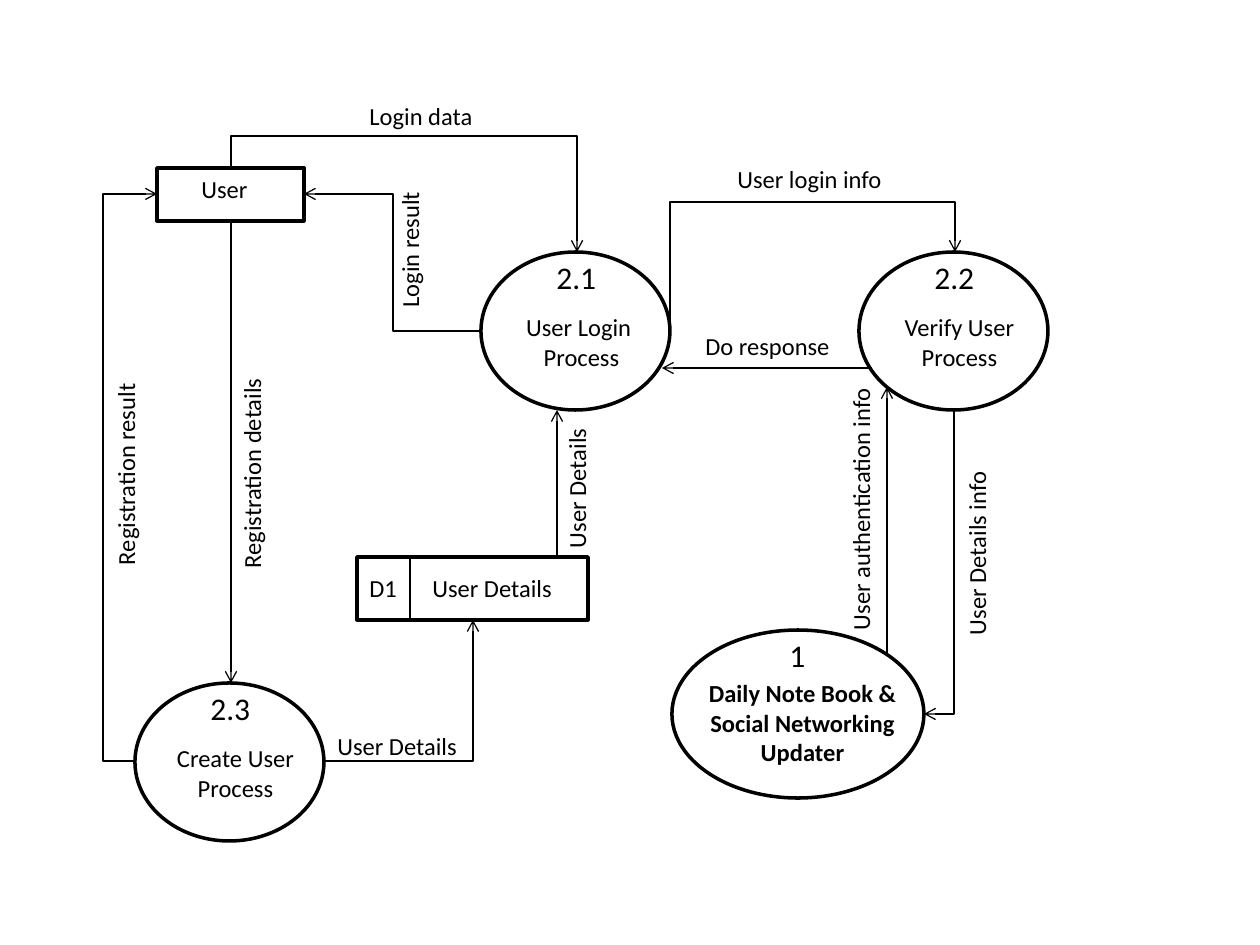
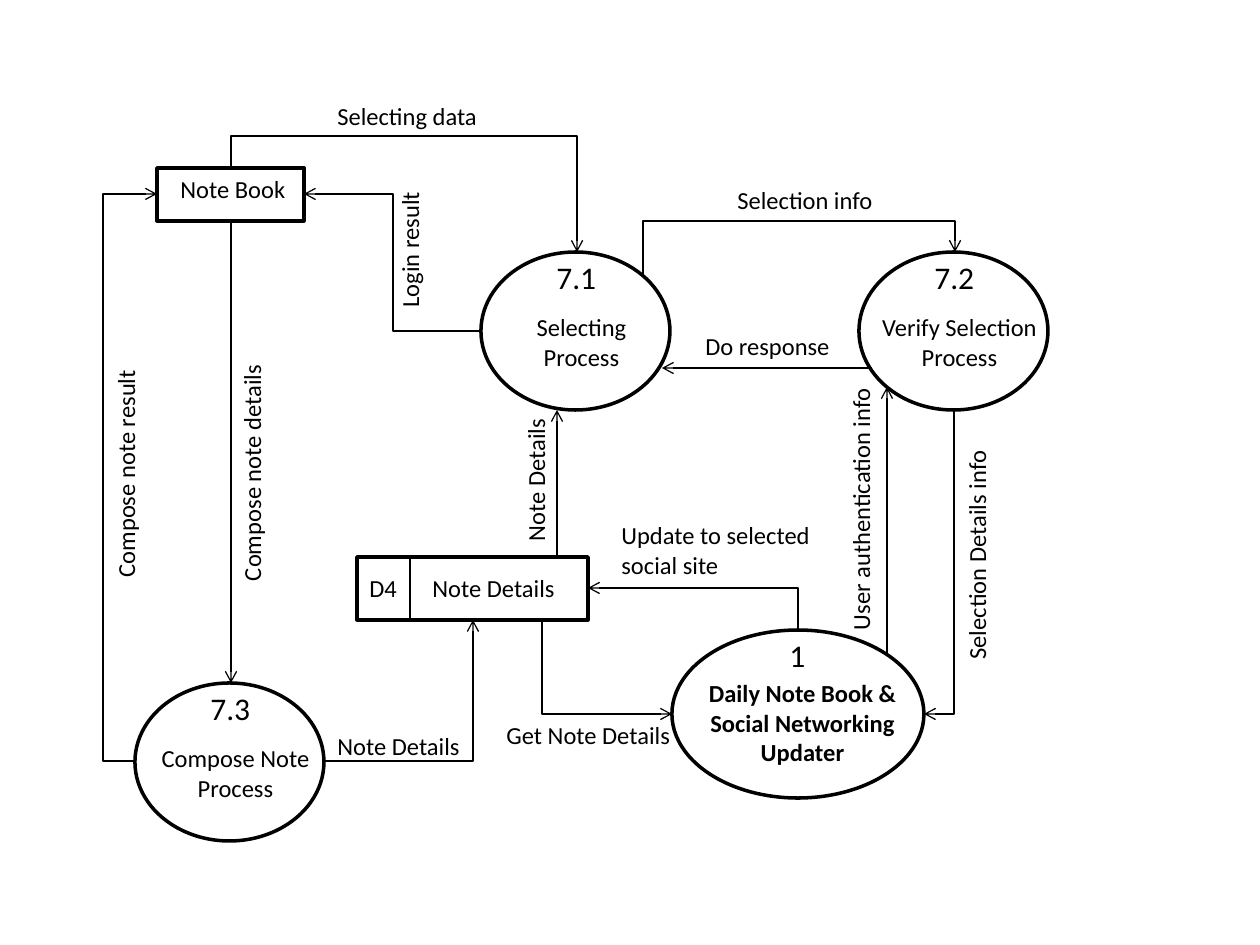
from lxml.etree import SubElement
from pptx import Presentation
from pptx.dml.color import RGBColor
from pptx.enum.shapes import MSO_CONNECTOR as Link, MSO_SHAPE as Preset
from pptx.enum.text import MSO_AUTO_SIZE as AutoSize, PP_ALIGN as Align
from pptx.oxml.ns import qn
from pptx.util import Emu, Pt

SCALE = 914400 // 126
INK = "000000"
FONT = "Calibri"
LINE_HEIGHT = 43
HUB = ["Daily Note Book & Social Networking Updater"]
PROCESS_PLACES = [(481, 252), (859, 252), (135, 683)]

SHARED_FLOWS = [
    [(231, 221), (231, 683)],
    [(135, 761), (103, 761), (103, 194), (157, 194)],
    [(324, 761), (473, 761), (473, 620)],
    [(231, 168), (231, 136), (577, 136), (577, 252)],
    [(481, 331), (393, 331), (393, 194), (304, 194)],
    [(954, 410), (954, 714), (924, 714)],
    [(887, 655), (887, 387)],
    [(557, 557), (557, 410)],
    [(872, 368), (662, 368)],
]
SHARED_LABELS = [(["Do response "], 693, 325, 158)]
SHARED_UPRIGHT_LABELS = [
    ("Login result", 410, 249, 142),
    ("User authentication info ", 861, 505, 275),
]

DIAGRAMS = [
    {
        "entity": ("User", 189, 72),
        "processes": [
            ("2.1", ["User Login ", "Process"]),
            ("2.2", ["Verify User", "Process"]),
            ("2.3", ["Create User", "Process"]),
        ],
        "store": ("D1", "User Details"),
        "flows": [[(670, 331), (670, 202), (955, 202), (955, 252)]],
        "labels": [
            (["User Details "], 325, 725, 151),
            (["Login data"], 357, 95, 130),
            (["User login info"], 725, 158, 171),
        ],
        "upright_labels": [
            ("User Details ", 577, 485, 151),
            ("Registration details ", 252, 469, 224),
            ("Registration result", 126, 473, 209),
            ("User Details info ", 977, 549, 197),
        ],
    },
    {
        "entity": ("Note Book", 168, 131),
        "processes": [
            ("7.1", ["Selecting", "Process"]),
            ("7.2", ["Verify Selection", "Process"]),
            ("7.3", ["Compose Note", "Process"]),
        ],
        "store": ("D4", "Note Details"),
        "flows": [
            [(643, 275), (643, 221), (955, 221), (955, 252)],
            [(542, 620), (542, 714), (672, 714)],
            [(798, 630), (798, 588), (588, 588)],
        ],
        "labels": [
            (["Note Details "], 325, 725, 155),
            (["Selecting data"], 325, 95, 166),
            (["Selection info"], 725, 179, 163),
            (["Get Note Details "], 494, 714, 197),
            (["Update to selected ", "social site"], 609, 514, 222),
        ],
        "upright_labels": [
            ("Note Details ", 536, 476, 155),
            ("Compose note details ", 252, 469, 249),
            ("Compose note result", 126, 473, 234),
            ("Selection Details info ", 977, 549, 246),
        ],
    },
]


def px(*lengths):
    return [Emu(round(length * SCALE)) for length in lengths]


def color(hex_text):
    return RGBColor.from_string(hex_text)


def set_line(line, points):
    line.color.rgb = color(INK)
    line.width = Pt(points)


def add_text(slide, lines, left, top, width, height=LINE_HEIGHT, size=14,
             bold=False, centred=False, rotation=0):
    box = slide.shapes.add_textbox(*px(left, top, width, height))
    box.rotation = rotation
    frame = box.text_frame
    frame.word_wrap = centred
    frame.auto_size = AutoSize.SHAPE_TO_FIT_TEXT
    for index, line in enumerate(lines):
        paragraph = frame.add_paragraph() if index else frame.paragraphs[0]
        paragraph.alignment = Align.CENTER if centred else Align.LEFT
        run = paragraph.add_run()
        run.text = line
        run.font.name = FONT
        run.font.size = Pt(size)
        run.font.bold = bold
        run.font.color.rgb = color(INK)


def add_outline(slide, preset, *place):
    outline = slide.shapes.add_shape(preset, *px(*place))
    outline.shadow.inherit = False
    outline.fill.background()
    set_line(outline.line, 2)


def add_link(slide, kind, *ends):
    link = slide.shapes.add_connector(kind, *px(*ends))
    set_line(link.line, 0.75)
    SubElement(link.element.spPr, qn("a:effectLst"))
    return link


def add_flow(slide, points):
    (x1, y1), (x2, y2) = points[0], points[-1]
    dx, dy = x2 - x1, y2 - y1
    if len(points) == 2:
        link = add_link(slide, Link.STRAIGHT, x1, y1, x2, y2)
    else:
        bend_x, bend_y = points[1]
        share = (bend_x - x1) / dx
        turn = 0
        if bend_x == x1:
            share = (bend_y - y1) / dy
            turn = -1 if dx * dy > 0 else 1
            mid_x, mid_y = (x1 + x2) / 2, (y1 + y2) / 2
            half_u, half_v = turn * dy / 2, -turn * dx / 2
            x1, y1, x2, y2 = mid_x - half_u, mid_y - half_v, mid_x + half_u, mid_y + half_v
        link = add_link(slide, Link.ELBOW, x1, y1, x2, y2)
        properties = link.element.spPr
        if turn:
            properties.find(qn("a:xfrm")).set("rot", str(turn % 4 * 5400000))
        geometry = properties.find(qn("a:prstGeom"))
        if len(points) == 3:
            geometry.set("prst", "bentConnector2")
        else:
            SubElement(geometry.find(qn("a:avLst")), qn("a:gd"),
                       name="adj1", fmla=f"val {round(share * 100000)}")
    SubElement(link.element.spPr.find(qn("a:ln")), qn("a:tailEnd"), type="arrow")


def add_process(slide, number, lines, left, top):
    add_outline(slide, Preset.OVAL, left, top, 189, 158)
    add_text(slide, lines, left - 9, top + 54, 219, 72, centred=True)
    add_text(slide, [number], left + 63, top, 66, 50, size=18)


def add_diagram(slide, diagram):
    add_outline(slide, Preset.OVAL, 672, 630, 252, 168)
    add_text(slide, HUB, 693, 672, 219, 102, bold=True, centred=True)
    add_text(slide, ["1"], 777, 630, 42, 50, size=18)

    entity, left, width = diagram["entity"]
    add_outline(slide, Preset.RECTANGLE, 157, 168, 147, 53)
    add_text(slide, [entity], left, 168, width)

    for (number, lines), place in zip(diagram["processes"], PROCESS_PLACES):
        add_process(slide, number, lines, *place)

    store_id, store_name = diagram["store"]
    add_outline(slide, Preset.RECTANGLE, 357, 557, 231, 63)
    add_link(slide, Link.STRAIGHT, 410, 557, 410, 620)
    add_text(slide, [store_id], 357, 567, 53)
    add_text(slide, [store_name], 420, 567, 152)

    for points in SHARED_FLOWS + diagram["flows"]:
        add_flow(slide, points)
    for label in SHARED_LABELS + diagram["labels"]:
        add_text(slide, *label)
    for words, mid_x, mid_y, length in SHARED_UPRIGHT_LABELS + diagram["upright_labels"]:
        add_text(slide, [words], mid_x - length / 2, mid_y - LINE_HEIGHT / 2,
                 length, rotation=270)


deck = Presentation()
deck.slide_width, deck.slide_height = px(1260, 945)
for diagram in DIAGRAMS:
    add_diagram(deck.slides.add_slide(deck.slide_layouts[6]), diagram)
deck.save("out.pptx")
